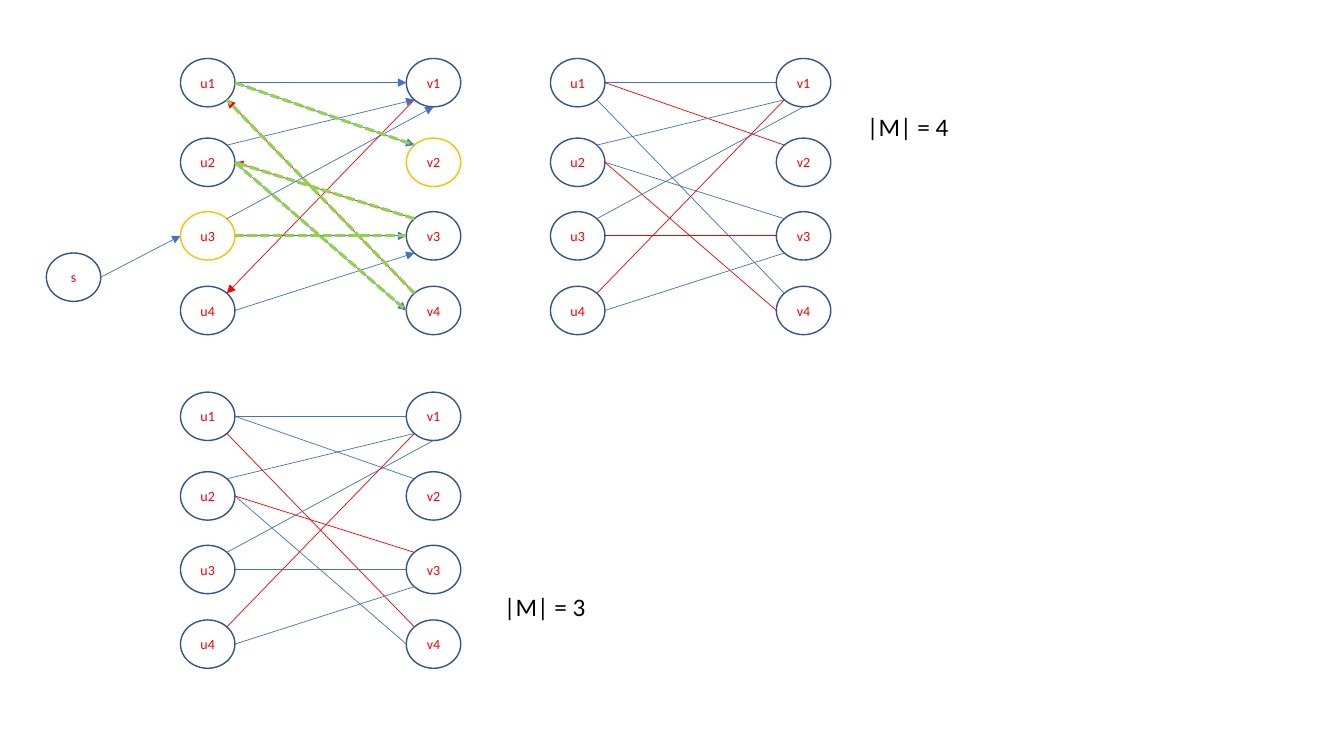
from pptx import Presentation
from pptx import util as u
from pptx.dml.color import RGBColor
from pptx.enum import dml, shapes, text
from pptx.oxml.ns import qn
from lxml import etree

PX = 9144  # EMU per px, 100 px to the inch

# Node size and layout inside one graph
NODE_W, NODE_H = 54, 48
COLUMN_STEP = 224
ROW_OFFSETS = [0, 79, 152, 226]

NAVY, BLUE, RED = "325491", "4472C4", "FF0000"
GOLD, GREEN, WHITE, BLACK = "FFC000", "92D050", "FFFFFF", "000000"

# Points on a node's outline, measured from its centre
SITES = {
    "W": (-27, 0), "E": (27, 0), "S": (0, 24),
    "NW": (-19, -17), "NE": (19, -17), "SW": (-19, 17), "SE": (19, 17),
}

# Every graph has the same edges: node pair -> outline points
EDGES = {
    ("u1", "v1"): ("E", "W"),
    ("u1", "v2"): ("E", "NW"),
    ("u1", "v4"): ("SE", "NW"),
    ("u2", "v1"): ("NE", "SW"),
    ("u2", "v3"): ("E", "NW"),
    ("u2", "v4"): ("E", "W"),
    ("u3", "v1"): ("NE", "S"),
    ("u3", "v3"): ("E", "W"),
    ("u4", "v1"): ("NE", "SW"),
    ("u4", "v3"): ("E", "SW"),
}
MATCHING_3 = {("u1", "v4"), ("u2", "v3"), ("u4", "v1")}
MATCHING_4 = {("u1", "v2"), ("u2", "v4"), ("u3", "v3"), ("u4", "v1")}
AUGMENTING_PATH = [("u2", "v3"), ("u3", "v3"), ("u1", "v2"), ("u1", "v4"), ("u2", "v4")]


def px(value):
    return u.Emu(value * PX)


def color(hex_string):
    return RGBColor.from_string(hex_string)


def add_run(paragraph, words, size, hex_color):
    run = paragraph.add_run()
    run.text = words
    run.font.name = "Calibri"
    run.font.size = u.Pt(size)
    run.font.color.rgb = color(hex_color)


def add_node(slide, label, left, top, outline=NAVY):
    """Draw a labelled ellipse and return its centre."""
    shape = slide.shapes.add_shape(
        shapes.MSO_SHAPE.OVAL, px(left), px(top), px(NODE_W), px(NODE_H))
    shape.shadow.inherit = False
    shape.fill.solid()
    shape.fill.fore_color.rgb = color(WHITE)
    shape.line.color.rgb = color(outline)
    shape.line.width = u.Pt(1)
    frame = shape.text_frame
    frame.margin_left = frame.margin_right = 0
    frame.margin_top = frame.margin_bottom = 0
    frame.vertical_anchor = text.MSO_ANCHOR.MIDDLE
    paragraph = frame.paragraphs[0]
    paragraph.alignment = text.PP_ALIGN.CENTER
    add_run(paragraph, label, 10, RED)
    return left + NODE_W // 2, top + NODE_H // 2


def add_line(slide, start, end, hex_color, width=0.5, arrow=False, dashed=False):
    connector = slide.shapes.add_connector(
        shapes.MSO_CONNECTOR.STRAIGHT, *[px(value) for value in (*start, *end)])
    line = connector.line
    line.color.rgb = color(hex_color)
    line.width = u.Pt(width)
    if dashed:
        line.dash_style = dml.MSO_LINE.SQUARE_DOT
    properties = connector._element.spPr
    if arrow:
        etree.SubElement(properties.find(qn("a:ln")), qn("a:tailEnd"), type="triangle")
    etree.SubElement(properties, qn("a:effectLst"))


def site_point(center, site):
    dx, dy = SITES[site]
    return center[0] + dx, center[1] + dy


def edge_points(nodes, edge, matching):
    """Ends of an edge: matched edges run from v to u, the others from u to v."""
    points = [site_point(nodes[name], site) for name, site in zip(edge, EDGES[edge])]
    return points[::-1] if edge in matching else points


def add_graph(slide, left, top, matching, free=(), arrow=False):
    """Draw both node columns and all edges; return the node centres."""
    nodes = {}
    for column, side in enumerate("uv"):
        for row, offset in enumerate(ROW_OFFSETS, 1):
            label = f"{side}{row}"
            nodes[label] = add_node(
                slide, label, left + column * COLUMN_STEP, top + offset,
                GOLD if label in free else NAVY)
    for edge in EDGES:
        start, end = edge_points(nodes, edge, matching)
        add_line(slide, start, end, RED if edge in matching else BLUE, arrow=arrow)
    return nodes


def add_label(slide, words, left, top):
    box = slide.shapes.add_textbox(px(left), px(top), px(102), px(40))
    frame = box.text_frame
    frame.word_wrap = False
    frame.auto_size = text.MSO_AUTO_SIZE.SHAPE_TO_FIT_TEXT
    add_run(frame.paragraphs[0], words, 18, BLACK)


def main():
    presentation = Presentation()
    presentation.slide_width = px(1333)
    presentation.slide_height = px(750)
    slide = presentation.slides.add_slide(presentation.slide_layouts[6])

    # Directed graph with the source node
    nodes = add_graph(slide, 179, 58, MATCHING_3, free=("u3", "v2"), arrow=True)
    source = add_node(slide, "s", 46, 251)
    add_line(slide, site_point(source, "E"), site_point(nodes["u3"], "W"), BLUE, arrow=True)

    # Augmenting path
    for edge in AUGMENTING_PATH:
        start, end = edge_points(nodes, edge, MATCHING_3)
        add_line(slide, start, end, GREEN, width=2.25, dashed=True)

    # Matching after and before augmentation
    add_graph(slide, 546, 58, MATCHING_4)
    add_graph(slide, 179, 389, MATCHING_3)
    add_label(slide, "|M| = 4", 850, 106)
    add_label(slide, "|M| = 3", 490, 582)

    presentation.save("out.pptx")


if __name__ == "__main__":
    main()
